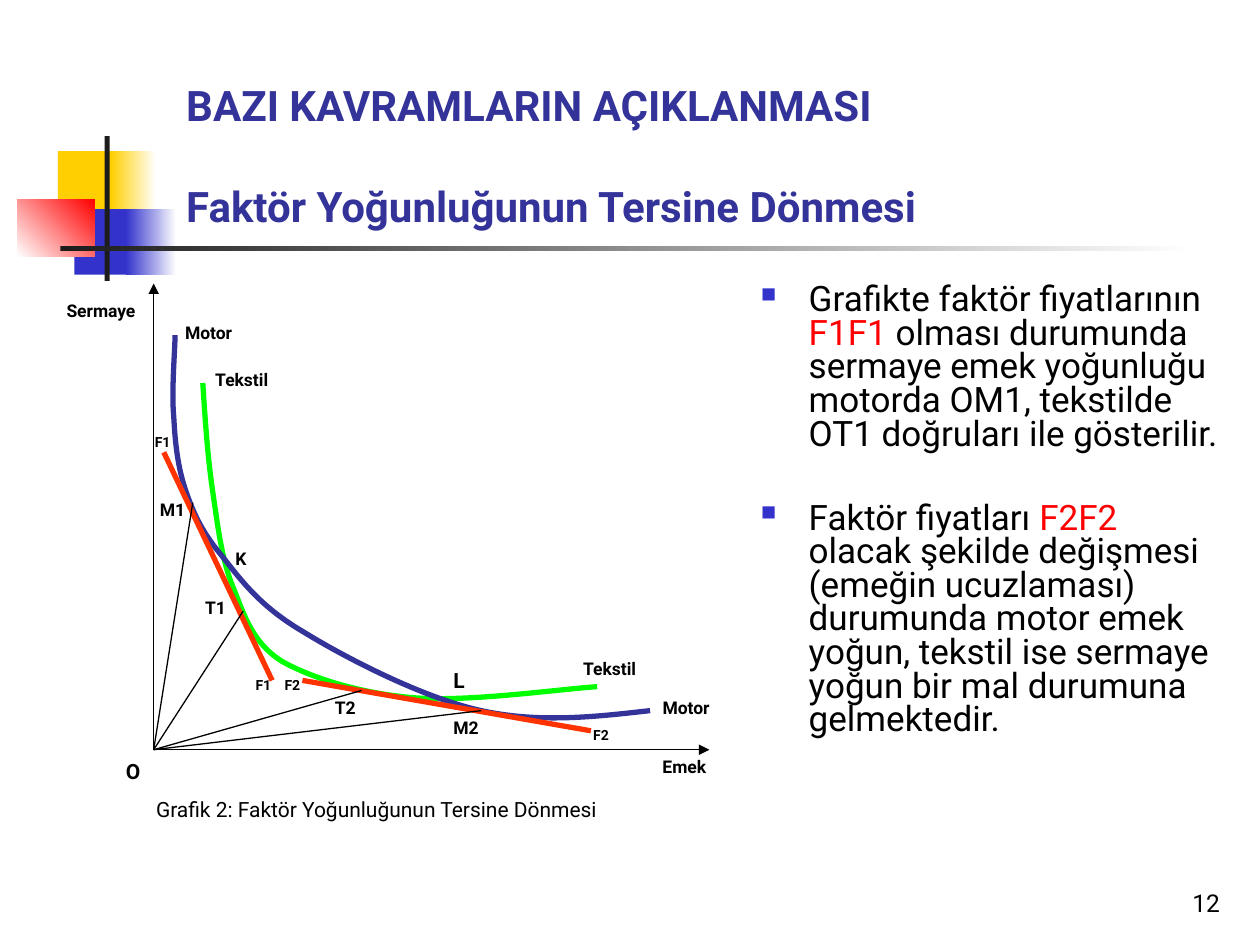
from lxml import etree
from pptx import Presentation
from pptx.dml.color import RGBColor
from pptx.enum.shapes import MSO_CONNECTOR as Connector, MSO_SHAPE as Shape
from pptx.enum.text import MSO_ANCHOR as Anchor, PP_ALIGN as Align
from pptx.oxml.ns import qn
from pptx.util import Inches, Pt


def color(value):
    return RGBColor.from_string(value)


def add_text(box, paragraphs, size, hue="000000", bold=False, anchor=Anchor.TOP, **layout):
    frame = slide.shapes.add_textbox(*map(Inches, box)).text_frame
    frame.word_wrap = True
    frame.vertical_anchor = anchor
    for index, runs in enumerate(paragraphs):
        paragraph = frame.add_paragraph() if index else frame.paragraphs[0]
        for name, value in layout.items():
            setattr(paragraph, name, value)
        for text, run_hue in runs:
            run = paragraph.add_run()
            run.text = text
            for name, value in {"name": "Roboto", "size": Pt(size), "bold": bold}.items():
                setattr(run.font, name, value)
            run.font.color.rgb = color(run_hue or hue)
    return frame


presentation = Presentation()
presentation.slide_width, presentation.slide_height = Inches(10), Inches(7.5)
slide = presentation.slides.add_slide(presentation.slide_layouts[6])

decorations = [
    ((0.46, 1.2, 0.48, 0.52), ["FFCF01"], 0),
    ((0.88, 1.2, 0.36, 0.52), ["FFCF01", "FFFFFF"], 0),
    ((0.59, 1.66, 0.46, 0.52), ["3333CC"], 0),
    ((1, 1.66, 0.4, 0.52), ["3333CC", "FFFFFF"], 0),
    ((0.14, 1.58, 0.61, 0.46), ["FFFFFF", "FF0000"], 45),
    ((0.83, 1.08, 0.04, 1.15), ["1C1C1C"], 0),
    ((0.48, 1.95, 9, 0.04), ["1C1C1C", "FFFFFF"], 0),
]
for box, hues, angle in decorations:
    shape = slide.shapes.add_shape(Shape.RECTANGLE, *map(Inches, box))
    shape.shadow.inherit = False
    shape.line.fill.background()
    if len(hues) == 1:
        shape.fill.solid()
        shape.fill.fore_color.rgb = color(hues[0])
    else:
        shape.fill.gradient()
        shape.fill.gradient_angle = angle
        for stop, hue, position in zip(shape.fill.gradient_stops, hues, (0, 1)):
            stop.color.rgb = color(hue)
            stop.position = position

title = add_text((1.38, 0.28, 8.07, 1.6),
                 [[("BAZI KAVRAMLARIN AÇIKLANMASI", None)],
                  [("Faktör Yoğunluğunun Tersine Dönmesi", None)]],
                 24, "333399", True, Anchor.BOTTOM)
title.paragraphs[1].space_before = Pt(28.5)
add_text((7.7, 6.83, 2.08, 0.5), [[("12", None)]], 14, anchor=Anchor.BOTTOM, alignment=Align.RIGHT)

body = add_text((5.94, 2.21, 3.85, 4.5), [
    [("Grafikte faktör fiyatlarının ", None), ("F1F1", "FF0000"),
     (" olması durumunda sermaye emek yoğunluğu motorda OM1, tekstilde "
      "OT1 doğruları ile gösterilir.", None)],
    [("Faktör fiyatları ", None), ("F2F2 ", "FF0000"),
     ("olacak şekilde değişmesi (emeğin ucuzlaması) durumunda motor emek yoğun, "
      "tekstil ise sermaye yoğun bir mal durumuna gelmektedir.", None)],
], 20, line_spacing=0.8)
for paragraph, gap in zip(body.paragraphs, (5, 28.8)):
    paragraph.space_before = Pt(gap)
    properties = paragraph._p.get_or_add_pPr()
    properties.set("marL", str(Inches(0.38)))
    properties.set("indent", str(Inches(-0.38)))
    bullet_color = etree.SubElement(properties, qn("a:buClr"))
    etree.SubElement(bullet_color, qn("a:srgbClr"), val="3333CC")
    etree.SubElement(properties, qn("a:buSzPct"), val="60000")
    etree.SubElement(properties, qn("a:buFont"), typeface="Wingdings", charset="2")
    etree.SubElement(properties, qn("a:buChar"), char="n")

curves = [
    ("00FF00", [
        (1.61, 3.04),
        (1.63, 3.35), (1.65, 3.64), (1.69, 3.91), (1.73, 4.18), (1.76, 4.44), (1.85, 4.66),
        (1.94, 4.88), (2, 5.1), (2.24, 5.25), (2.49, 5.39), (2.89, 5.51), (3.31, 5.54),
        (3.73, 5.57), (4.44, 5.47), (4.74, 5.45)]),
    ("333399", [
        (1.39, 2.66),
        (1.39, 2.77), (1.36, 3.11), (1.38, 3.31), (1.39, 3.51), (1.41, 3.7), (1.47, 3.88),
        (1.53, 4.06), (1.6, 4.22), (1.76, 4.41), (1.91, 4.6), (2.06, 4.81), (2.4, 5.01),
        (2.74, 5.22), (3.36, 5.54), (3.82, 5.64), (4.28, 5.74), (4.72, 5.69), (5.16, 5.64)]),
]
for hue, points in curves:
    start, *controls = [tuple(map(Inches, point)) for point in points]
    builder = slide.shapes.build_freeform(*start)
    builder.add_line_segments(controls, close=False)
    curve = builder.convert_to_shape()
    segments = list(curve._element.iter(qn("a:lnTo")))
    for first in range(0, len(segments), 3):
        bezier = etree.Element(qn("a:cubicBezTo"))
        segments[first].addprevious(bezier)
        for segment in segments[first:first + 3]:
            bezier.append(segment[0])
            segment.getparent().remove(segment)
    curve.shadow.inherit = False
    curve.fill.background()
    curve.line.color.rgb = color(hue)
    curve.line.width = Pt(3)

origin = (1.22, 5.95)
lines = [
    (origin, (5.63, 5.95), "000000", 0.75, True),
    (origin, (1.22, 2.25), "000000", 0.75, True),
    ((1.3, 3.59), (2.16, 5.4), "FF3300", 3, False),
    ((4.69, 5.8), (2.4, 5.4), "FF3300", 3, False),
]
lines += [(origin, end, "000000", 0.75, False)
          for end in ((1.53, 3.99), (2.87, 5.48), (1.93, 4.85), (3.82, 5.64))]
for start, end, hue, width, arrow in lines:
    connector = slide.shapes.add_connector(Connector.STRAIGHT, *map(Inches, start + end))
    connector.line.color.rgb = color(hue)
    connector.line.width = Pt(width)
    if arrow:
        etree.SubElement(connector.line._get_or_add_ln(), qn("a:tailEnd"), type="triangle")
    etree.SubElement(connector._element.spPr, qn("a:effectLst"))

labels = [
    ("Emek", 5.16, 5.95, 0.94, 10), ("Sermaye", 0.43, 2.33, 0.94, 10),
    ("O", 0.9, 5.97, 0.31, 12), ("L", 3.5, 5.25, 0.55, 12),
    ("Motor", 1.37, 2.51, 0.79, 10), ("Motor", 5.16, 5.48, 0.79, 10),
    ("Tekstil", 1.61, 2.88, 0.79, 10), ("Tekstil", 4.53, 5.17, 0.79, 10),
    ("K", 1.77, 4.3, 0.55, 10),
    ("M1", 1.17, 3.91, 0.55, 10), ("M2", 3.5, 5.64, 0.55, 10),
    ("T1", 1.53, 4.69, 0.55, 10), ("T2", 2.56, 5.48, 0.55, 10),
    ("F1", 1.13, 3.39, 0.55, 8), ("F1", 1.93, 5.32, 0.55, 8),
    ("F2", 2.16, 5.32, 0.55, 8), ("F2", 4.61, 5.72, 0.55, 8),
]
heights = {8: 0.24, 10: 0.27, 12: 0.3}
for text, left, top, width, size in labels:
    add_text((left, top, width, heights[size]), [[(text, None)]], size, bold=True,
             space_before=Pt(size * 5 / 8))
add_text((1.14, 6.27, 3.86, 0.5), [[("Grafik 2: Faktör Yoğunluğunun Tersine Dönmesi", None)]],
         12, space_before=Pt(7.5))

presentation.save("out.pptx")
